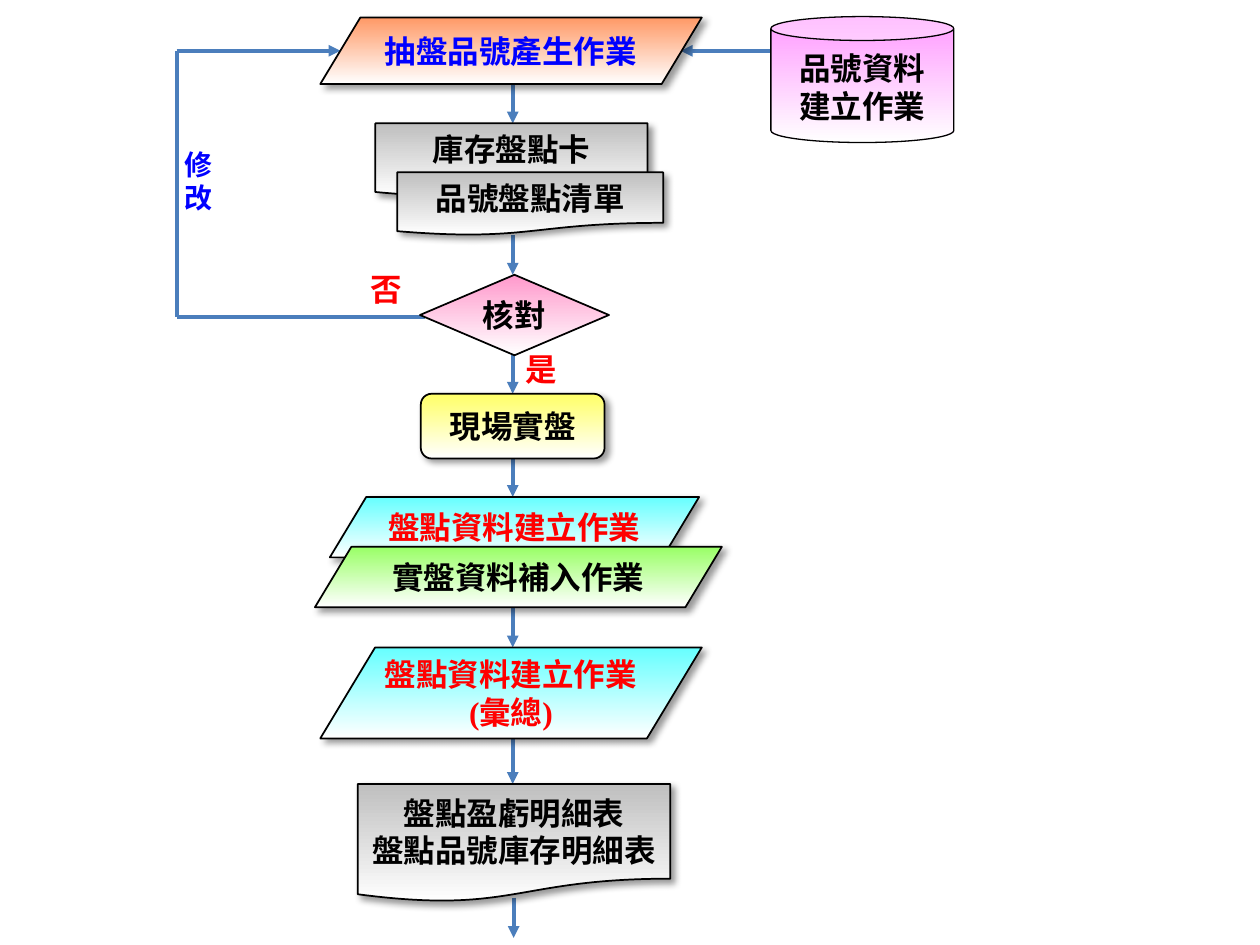
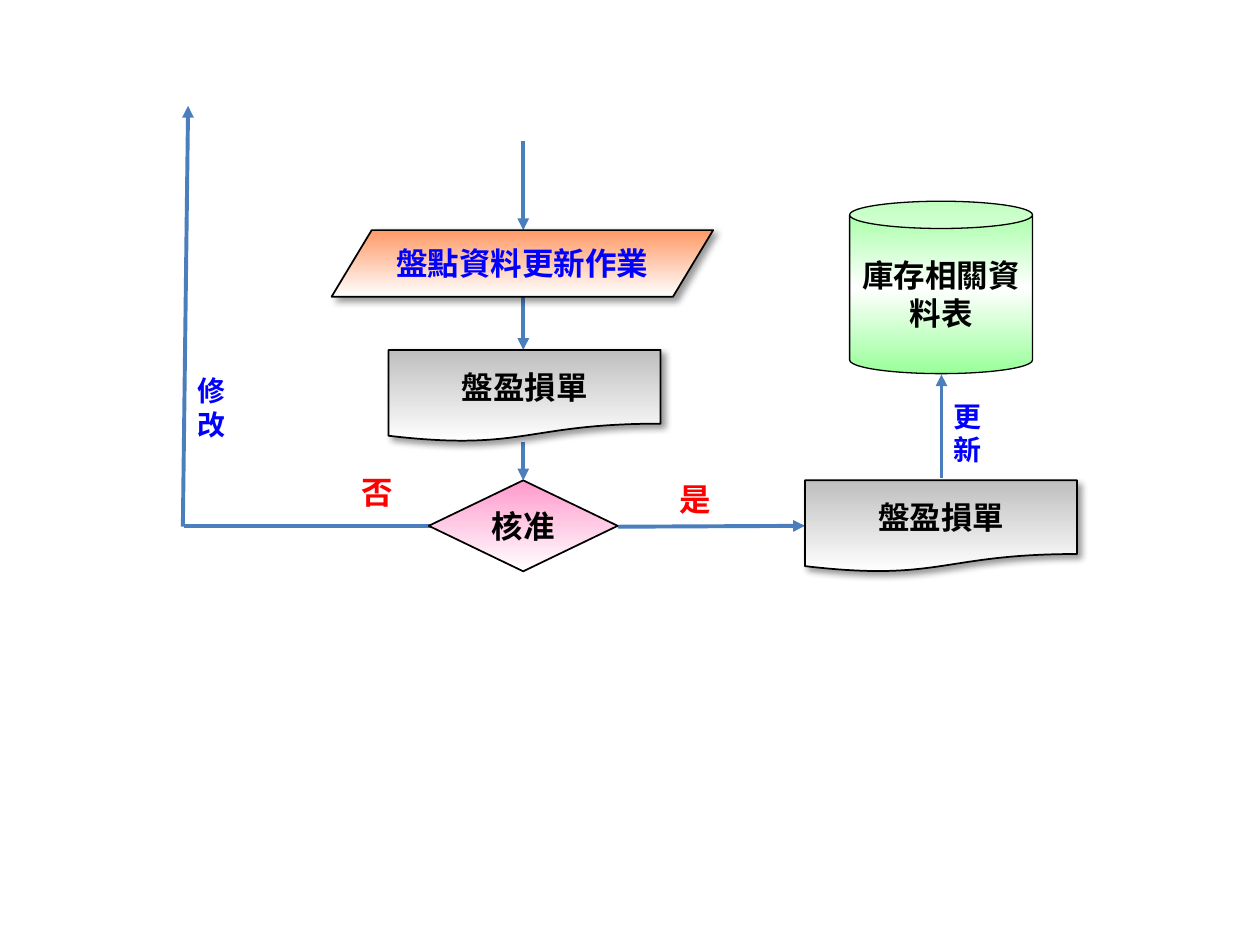
from copy import deepcopy

from lxml.etree import SubElement
from pptx import Presentation
from pptx.dml.color import RGBColor
from pptx.enum.shapes import MSO_CONNECTOR, MSO_SHAPE
from pptx.enum.text import MSO_ANCHOR, MSO_AUTO_SIZE, PP_ALIGN
from pptx.oxml.ns import qn
from pptx.util import Pt

BLACK = RGBColor(0x00, 0x00, 0x00)
WHITE = RGBColor(0xFF, 0xFF, 0xFF)
BLUE = RGBColor(0x00, 0x00, 0xFF)
RED = RGBColor(0xFF, 0x00, 0x00)
STEEL = RGBColor(0x4B, 0x7E, 0xBC)
ORANGE = RGBColor(0xFF, 0x99, 0x66)
GRAY = RGBColor(0xBF, 0xBF, 0xBF)
CYAN = RGBColor(0x66, 0xFF, 0xFF)
LIME = RGBColor(0x99, 0xFF, 0x66)
YELLOW = RGBColor(0xFF, 0xFF, 0x66)
ROSE = RGBColor(0xFF, 0x99, 0xCC)
ORCHID = RGBColor(0xFF, 0x99, 0xFF)
MINT = RGBColor(0x99, 0xFF, 0x99)

SANS = "Noto Sans CJK SC"
SERIF = "Times New Roman"

TASK = dict(preset=MSO_SHAPE.PARALLELOGRAM, adjust=0.603, font=SERIF, inset=3)
REPORT = dict(preset=MSO_SHAPE.FLOWCHART_DOCUMENT, colors=(GRAY, WHITE))
CHECK = dict(preset=MSO_SHAPE.DIAMOND, colors=(ROSE, WHITE), shadow=False)
STORE = dict(preset=MSO_SHAPE.CAN, font=SERIF, shadow=False, border=0.75)
START = TASK | dict(colors=(ORANGE, WHITE), color=BLUE)
ENTRY = TASK | dict(colors=(CYAN, WHITE), color=RED)
FILL_IN = TASK | dict(colors=(LIME, WHITE))
COUNT = dict(preset=MSO_SHAPE.ROUNDED_RECTANGLE, colors=(YELLOW, WHITE))
ITEM_STORE = STORE | dict(colors=(ORCHID, WHITE), adjust=0.19, anchor=MSO_ANCHOR.BOTTOM, wrap=False)
STOCK_STORE = STORE | dict(colors=(MINT, WHITE, MINT), adjust=0.158)

ANSWER = dict(size=18, color=RED, width=44.5, height=29)
ACTION = dict(size=16, color=BLUE, width=34, height=46)

SLIDES = [
    dict(
        axis=293,
        steps=[
            ("抽盤品號產生作業", (183, 10, 218, 38), START),
            ("庫存盤點卡", (214.5, 70.5, 155.5, 42), REPORT | dict(anchor=MSO_ANCHOR.TOP)),
            ("品號盤點清單", (227, 98.5, 152, 36), REPORT),
            ("核對", (240, 157, 108, 46), CHECK),
            ("現場實盤", (240.5, 225, 105, 37), COUNT),
            ("盤點資料建立作業", (188.5, 284, 211, 34.5), ENTRY),
            ("實盤資料補入作業", (180, 312.5, 232.5, 34.5), FILL_IN),
            ("盤點資料建立作業(彙總)", (183, 370, 218, 52), ENTRY),
            ("盤點盈虧明細表\n盤點品號庫存明細表", (204.5, 448, 178.5, 67.5), REPORT),
            ("品號資料\v建立作業", (440.5, 9.5, 104.5, 72), ITEM_STORE),
        ],
        links=[(0, 1), (2, 3), (3, 4), (4, 5), (6, 7), (7, 8)],
        lines=[(101, 29, 101, 181), (101, 181, 243, 181)],
        arrows=[(101, 29, 194.5, 29), (440.5, 29, 389, 29), (293.5, 513, 293.5, 536)],
        labels=[
            ("否", 204.5, 151, ANSWER),
            ("修改", 98.5, 80.5, ACTION),
            ("是", 293, 196.5, ANSWER),
        ],
    ),
    dict(
        axis=299,
        steps=[
            ("盤點資料更新作業", (189.5, 131.5, 218, 38), START),
            ("盤盈損單", (222, 200, 155.5, 52.5), REPORT),
            ("核准", (245, 274.5, 108, 52), CHECK),
            ("庫存相關資料表", (485.5, 115, 104.5, 98.5), STOCK_STORE),
            ("盤盈損單", (460, 274.5, 155.5, 52.5), REPORT),
        ],
        links=[(0, 1), (1, 2)],
        lines=[(105, 300.5, 247.5, 300.5)],
        arrows=[
            (104.5, 301, 107.5, 60.5),
            (353, 301, 460, 300.5),
            (538, 273, 538, 214),
            (299, 80.5, 299, 131.5),
        ],
        labels=[
            ("否", 199.5, 267, ANSWER),
            ("修改", 106, 210, ACTION),
            ("是", 381.5, 270.5, ANSWER),
            ("更新", 538, 224.5, ACTION),
        ],
    ),
]


def write_text(frame, text, size=18, font=SANS, color=BLACK, align=PP_ALIGN.CENTER,
               anchor=MSO_ANCHOR.MIDDLE, inset=7.2, wrap=True):
    """Fill a text frame with bold paragraphs, one for each line of text."""
    frame.word_wrap = wrap
    frame.vertical_anchor = anchor
    frame.margin_left = frame.margin_right = Pt(inset)
    frame.text = text
    for para in frame.paragraphs:
        para.alignment = align
        for span in para.runs:
            span.font.size = Pt(size)
            span.font.bold = True
            span.font.name = font
            span.font.color.rgb = color
            SubElement(span.font._element, qn("a:ea"), typeface=SANS)


def paint_gradient(box, colors):
    """Fill a box from top to bottom with evenly spaced colours."""
    box.fill.gradient()
    box.fill.gradient_angle = 270
    stop_list = box._element.spPr.find(".//" + qn("a:gsLst"))
    for _ in colors[2:]:
        stop_list.append(deepcopy(stop_list[0]))
    for index, (stop, color) in enumerate(zip(box.fill.gradient_stops, colors)):
        stop.color.rgb = color
        stop.position = index / (len(colors) - 1)


def cast_shadow(box):
    """Give a box a soft shadow towards the lower right."""
    effects = box._element.spPr.find(qn("a:effectLst"))
    shadow = SubElement(effects, qn("a:outerShdw"), blurRad=str(Pt(4)), dist=str(Pt(3)),
                        dir="2700000", algn="tl", rotWithShape="0")
    tint = SubElement(shadow, qn("a:srgbClr"), val=str(BLACK))
    SubElement(tint, qn("a:alpha"), val="40000")


def add_step(page, text, place, preset, colors, adjust=None, shadow=True, border=1, **text_format):
    """Draw one flowchart shape with its text."""
    box = page.shapes.add_shape(preset, *map(Pt, place))
    if adjust is not None:
        box.adjustments[0] = adjust
    paint_gradient(box, colors)
    box.line.color.rgb = BLACK
    box.line.width = Pt(border)
    box.shadow.inherit = False
    if shadow:
        cast_shadow(box)
    write_text(box.text_frame, text, **text_format)


def add_line(page, ends, arrow=False):
    """Draw a straight flow line, with an arrowhead at its end if asked."""
    line = page.shapes.add_connector(MSO_CONNECTOR.STRAIGHT, *map(Pt, ends))
    line.line.color.rgb = STEEL
    line.line.width = Pt(2.25)
    properties = line._element.spPr
    if arrow:
        SubElement(properties.find(qn("a:ln")), qn("a:tailEnd"), type="triangle")
    SubElement(properties, qn("a:effectLst"))


def add_label(page, text, left, top, width, height, **text_format):
    """Place a text label beside a flow line."""
    box = page.shapes.add_textbox(Pt(left), Pt(top), Pt(width), Pt(height))
    write_text(box.text_frame, text, align=PP_ALIGN.LEFT, anchor=MSO_ANCHOR.TOP, **text_format)
    box.text_frame.auto_size = MSO_AUTO_SIZE.SHAPE_TO_FIT_TEXT


def link_ends(axis, upper, lower):
    """Return the ends of the arrow from one step down to the next."""
    return axis, upper[1] + upper[3], axis, lower[1]


def build_slide(deck, content):
    """Build one flowchart slide."""
    page = deck.slides.add_slide(deck.slide_layouts[6])
    places = [place for _, place, _ in content["steps"]]
    for ends in content["lines"]:
        add_line(page, ends)
    for upper, lower in content["links"]:
        add_line(page, link_ends(content["axis"], places[upper], places[lower]), arrow=True)
    for ends in content["arrows"]:
        add_line(page, ends, arrow=True)
    for text, place, style in content["steps"]:
        add_step(page, text, place, **style)
    for text, left, top, style in content["labels"]:
        add_label(page, text, left, top, **style)


def main():
    """Build the deck and save it."""
    deck = Presentation()
    deck.slide_width, deck.slide_height = Pt(720), Pt(540)
    for content in SLIDES:
        build_slide(deck, content)
    deck.save("out.pptx")


if __name__ == "__main__":
    main()
